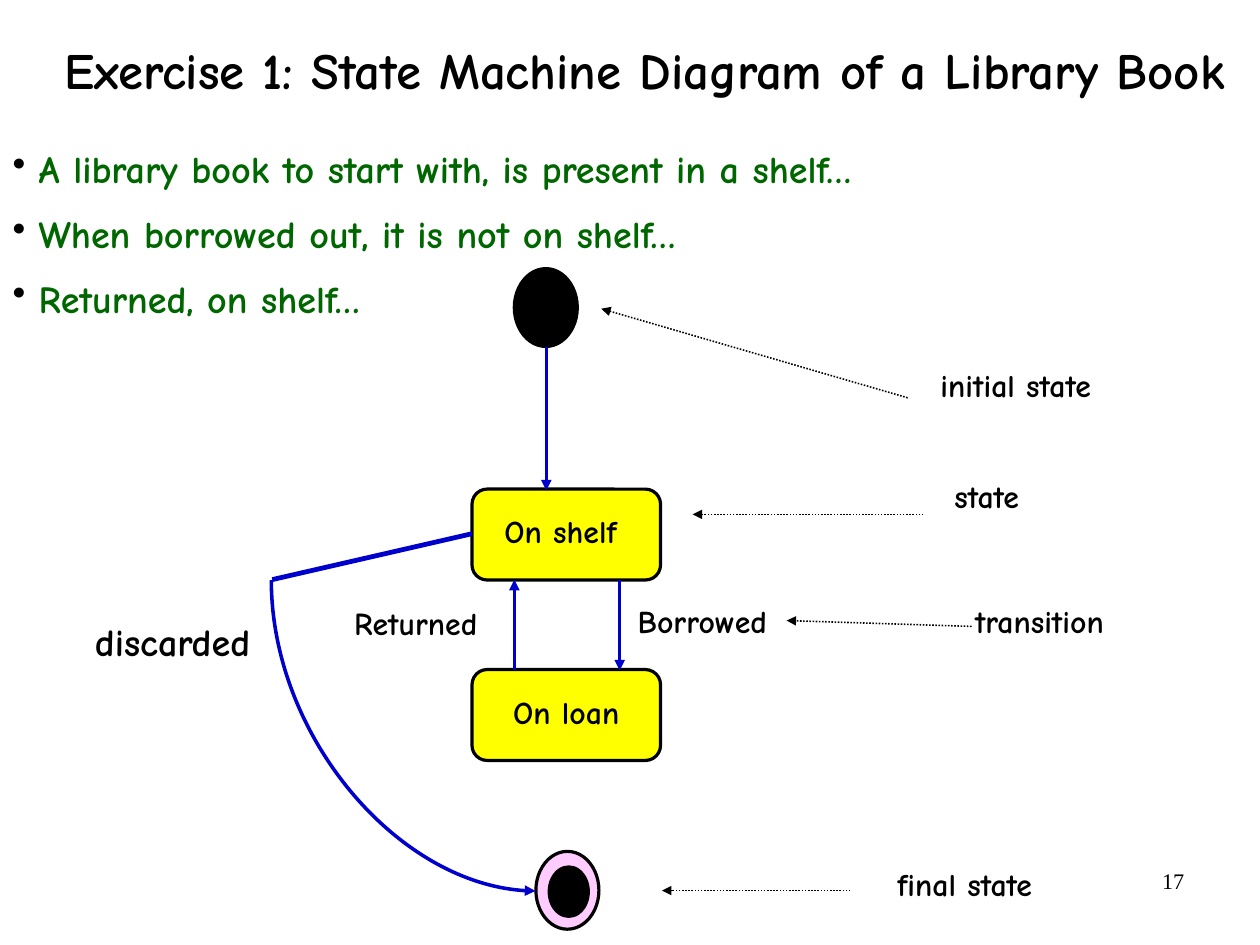
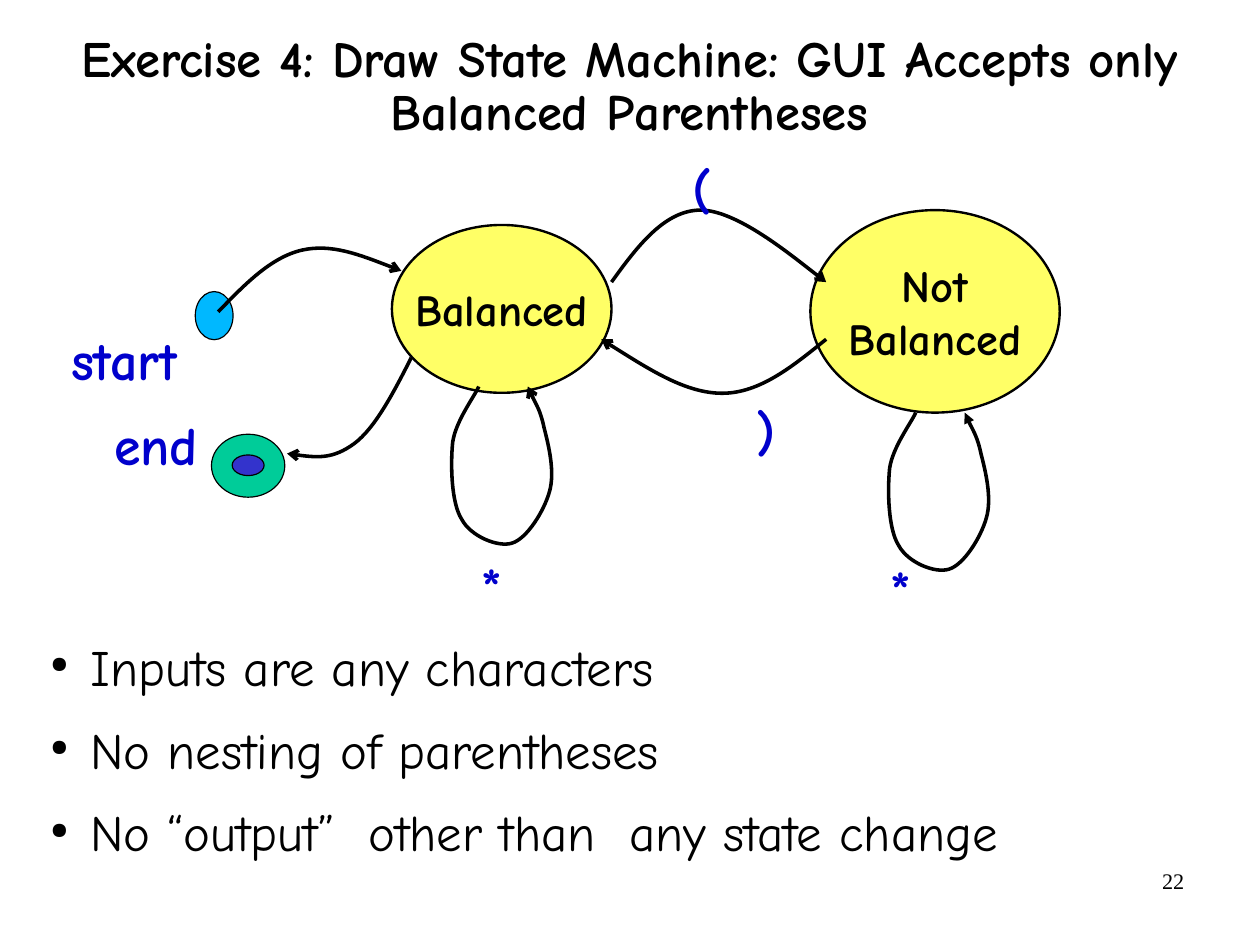
from lxml import etree
from pptx import Presentation, util as u
from pptx.dml import color
from pptx.enum import dml, shapes, text
from pptx.oxml import ns

FACE = "Comic Neue"
BLACK, WHITE, BLUE, GREEN = "000000", "FFFFFF", "0000CC", "006600"
YELLOW, LEMON, PINK = "FFFF00", "FFFF66", "FFCCFF"
SKY, TEAL, INDIGO = "00B8FF", "00CC99", "3333CC"
LEFT, MID, RIGHT = text.PP_ALIGN.LEFT, text.PP_ALIGN.CENTER, text.PP_ALIGN.RIGHT
TOP, MIDDLE, BOTTOM = text.MSO_ANCHOR.TOP, text.MSO_ANCHOR.MIDDLE, text.MSO_ANCHOR.BOTTOM
OVAL = shapes.MSO_SHAPE.OVAL
NODE = shapes.MSO_SHAPE.FLOWCHART_CONNECTOR
ROUND = shapes.MSO_SHAPE.ROUNDED_RECTANGLE
LINE, CURVE = shapes.MSO_CONNECTOR.STRAIGHT, shapes.MSO_CONNECTOR.CURVE
LOOP = [(0, 0), (-0.1, 0.23), (-0.51, 0.76), (-0.58, 1.24),
        (-0.63, 1.75), (-0.61, 2.59), (-0.38, 2.95),
        (-0.18, 3.33), (0.43, 3.58), (0.74, 3.48),
        (1.07, 3.38), (1.45, 2.77), (1.57, 2.34),
        (1.7, 1.9), (1.55, 1.3), (1.45, 0.91),
        (1.37, 0.53), (1.14, 0.15), (1.09, 0)]


def rgb(code):
    """Turn a hex string into a colour."""
    return color.RGBColor.from_string(code)


def put(item, vals):
    """Set each named value on an object."""
    for name, val in vals.items():
        setattr(item, name, val)


def child(node, tag, **vals):
    """Add an XML child with its values."""
    return etree.SubElement(node, ns.qn(tag), vals)


def paint(line, tone, width, dash=None, head=None):
    """Style a line and its arrowhead."""
    line.color.rgb = rgb(tone)
    line.width = u.Pt(width)
    if dash:
        line.dash_style = dash
    if head:
        child(line._get_or_add_ln(), "a:tailEnd", type=head)


def bullet(para, mark, indent, size=100):
    """Give a paragraph a hanging black bullet."""
    props = para._p.get_or_add_pPr()
    props.set("marL", str(u.Cm(indent[0])))
    props.set("indent", str(u.Cm(indent[1])))
    child(child(props, "a:buClr"), "a:srgbClr", val=BLACK)
    child(props, "a:buSzPct", val=str(size * 1000))
    child(props, "a:buChar", char=mark)


def write(shape, lines, size, tone=BLACK, bold=True, face=FACE, align=LEFT,
          anchor=TOP, wrap=True, lead=None, before=0, after=0, mark=None):
    """Fill a shape with formatted paragraphs."""
    frame = shape.text_frame
    put(frame, dict(word_wrap=wrap, auto_size=text.MSO_AUTO_SIZE.NONE,
                    vertical_anchor=anchor,
                    margin_left=u.Cm(0.28), margin_right=u.Cm(0.28),
                    margin_top=u.Cm(0.15), margin_bottom=u.Cm(0.15)))
    for i, words in enumerate(lines):
        para = frame.add_paragraph() if i else frame.paragraphs[0]
        if mark:
            bullet(para, *mark)
        put(para, dict(alignment=align, line_spacing=lead,
                       space_before=u.Pt(before if i else 0),
                       space_after=u.Pt(after)))
        run = para.add_run()
        run.text = words
        put(run.font, dict(name=face, size=u.Pt(size), bold=bold))
        run.font.color.rgb = rgb(tone)


class Pen:
    """Draws items in centimetres from a corner of a slide."""

    def __init__(self, slide, x=0, y=0):
        """Keep the slide and the corner."""
        self.tree, self.x, self.y = slide.shapes, x, y

    def spot(self, x, y):
        """Give the place of a point on the slide."""
        return u.Cm(self.x + x), u.Cm(self.y + y)

    def note(self, box, lines, size, **form):
        """Add a text box."""
        x, y, w, h = box
        area = self.tree.add_textbox(*self.spot(x, y), u.Cm(w), u.Cm(h))
        write(area, lines, size, **form)

    def shape(self, kind, box, fill, width=0):
        """Add a filled shape with a black outline."""
        x, y, w, h = box
        item = self.tree.add_shape(kind, *self.spot(x, y), u.Cm(w), u.Cm(h))
        item.shadow.inherit = False
        item.fill.solid()
        item.fill.fore_color.rgb = rgb(fill)
        if width:
            paint(item.line, BLACK, width)
        else:
            item.line.fill.background()
        return item

    def link(self, ends, kind=LINE, **form):
        """Add a connector between two points."""
        item = self.tree.add_connector(
            kind, *self.spot(*ends[:2]), *self.spot(*ends[2:]))
        paint(item.line, **form)
        child(item._element.spPr, "a:effectLst")
        return item

    def curve(self, points, head="arrow"):
        """Add a path of cubic curves with an arrowhead."""
        first, *rest = [self.spot(*point) for point in points]
        maker = self.tree.build_freeform(*first)
        maker.add_line_segments(rest, close=False)
        item = maker.convert_to_shape()
        item.shadow.inherit = False
        item.fill.background()
        paint(item.line, BLACK, 2.25, head=head)
        track = item._element.find(".//" + ns.qn("a:path"))
        steps = track.findall(ns.qn("a:lnTo"))
        for i in range(0, len(steps), 3):
            bend = child(track, "a:cubicBezTo")
            for step in steps[i:i + 3]:
                bend.append(step[0])
                track.remove(step)


def start(deck, title, box, number, **form):
    """Add a slide with its title and number."""
    slide = deck.slides.add_slide(deck.slide_layouts[5])
    slide.background.fill.solid()
    slide.background.fill.fore_color.rgb = rgb(WHITE)
    head = slide.shapes.title
    put(head, dict(zip(("left", "top", "width", "height"), map(u.Cm, box))))
    write(head, [title], 32, align=MID, **form)
    Pen(slide).note((20.07, 19.13, 6.53, 1.45), [number], 14, bold=False,
                    face="Times New Roman", align=RIGHT)
    return slide


def book(slide, x, y):
    """Draw the states of a library book."""
    pen = Pen(slide, x, y)
    pen.shape(NODE, (9.6, 0, 1.4, 1.73), BLACK, 2)
    pen.shape(NODE, (10.08, 12.95, 1.4, 1.73), PINK, 2)
    pen.shape(NODE, (10.34, 13.26, 0.94, 1.17), BLACK)
    for top, name in ((4.9, "On shelf "), (8.91, "On loan")):
        state = pen.shape(ROUND, (8.66, top, 4.19, 2.02), YELLOW, 2)
        write(state, [name], 20, align=MID, anchor=MIDDLE, lead=0.8)
    for ends in ((10.31, 1.75, 10.31, 4.93), (11.94, 6.91, 11.94, 8.93),
                 (9.6, 8.93, 9.6, 6.91)):
        pen.link(ends, tone=BLUE, width=2.25, head="triangle")
    for ends in ((18.34, 2.87, 11.53, 0.89), (18.69, 5.46, 13.56, 5.46),
                 (19.76, 7.95, 15.65, 7.82), (17.07, 13.82, 12.88, 13.82)):
        pen.link(ends, tone=BLACK, width=1, head="triangle",
                 dash=dml.MSO_LINE.ROUND_DOT)
    for left, top, name, size in (
            (18.79, 2.18, "initial state", 20), (19.1, 4.65, "state", 20),
            (19.56, 7.42, "transition", 20), (17.83, 13.26, "final state", 20),
            (12.06, 7.42, "Borrowed", 20), (5.76, 7.47, "Returned", 20),
            (0, 7.82, "discarded", 24)):
        pen.note((left, top, 4.6, 1), [name], size, lead=0.8)
    pen.link((8.66, 5.89, 4.22, 6.91), tone=BLUE, width=3)
    arc = pen.link((3.68, 7.44, 10.59, 13.31), CURVE, tone=BLUE, width=2.25,
                   head="triangle")
    props = arc._element.spPr
    props.find(ns.qn("a:prstGeom")).set("prst", "curvedConnector2")
    frame = props.find(ns.qn("a:xfrm"))
    frame.set("rot", "16200000")
    frame.set("flipH", "1")


def braces(slide, x, y):
    """Draw the states of the parenthesis check."""
    pen = Pen(slide, x, y)
    for box, lines in (((7.41, 1.7, 4.88, 3.73), ["Balanced"]),
                       ((16.71, 1.37, 5.54, 4.5), ["Not", "Balanced"])):
        state = pen.shape(OVAL, box, LEMON, 1.5)
        write(state, lines, 28, align=MID, anchor=MIDDLE, wrap=False)
    for box, fill in (((3.04, 3.18, 0.84, 1.07), SKY),
                      ((3.4, 6.35, 1.63, 1.4), TEAL),
                      ((3.86, 6.81, 0.71, 0.46), INDIGO)):
        pen.shape(OVAL, box, fill, 0.75)
    pen.curve([(3.55, 3.63), (4.14, 3.02), (4.72, 2.42), (5.41, 2.26),
               (6.07, 2.11), (6.85, 2.42), (7.62, 2.72)])
    pen.curve([(12.29, 2.97), (12.87, 2.16), (13.48, 1.37), (14.27, 1.37),
               (15.08, 1.37), (16.68, 2.69), (17.06, 2.97)])
    pen.curve([(17.06, 4.24), (16.33, 4.83), (15.59, 5.44), (14.75, 5.44),
               (13.94, 5.44), (13, 4.83), (12.06, 4.24)])
    pen.curve([(7.84, 4.65), (7.44, 5.44), (7.03, 6.22), (6.57, 6.56),
               (6.09, 6.91), (5.58, 6.86), (5.08, 6.78)])
    for left, top, head in ((9.34, 5.29, "arrow"), (19.05, 5.87, "triangle")):
        pen.curve([(left + dx, top + dy) for dx, dy in LOOP], head)
    for left, top, name in ((13.81, 0, "("), (15.24, 5.39, ")"),
                            (9.11, 8.82, "*"), (18.21, 8.89, "*"),
                            (0, 3.81, "start"), (0.96, 5.69, "end")):
        pen.note((left, top, 3.68, 1.73), [name], 34, tone=BLUE)


def main():
    """Build and save both slides."""
    deck = Presentation()
    put(deck, dict(slide_width=u.Cm(28), slide_height=u.Cm(21)))

    slide = start(deck, "Exercise 1: State Machine Diagram of a Library Book",
                  (0.9, -0.08, 26.87, 3.48), "17", anchor=MIDDLE, lead=0.8)
    book(slide, 1.83, 5.97)
    Pen(slide).note((0, 3.08, 28, 4.17),
                    ["A library book to start with, is present in a shelf…",
                     "When borrowed out, it is not on shelf…",
                     "Returned, on shelf…"],
                    24, tone=GREEN, before=6, after=6,
                    mark=("•", (0.58, -0.58)))

    slide = start(deck, "Exercise 4: Draw State Machine: GUI Accepts only "
                  "Balanced Parentheses",
                  (0, 2.03, 28, 1.27), "22", anchor=BOTTOM, lead=0.88)
    braces(slide, 1.3, 3.3)
    Pen(slide).note((0.56, 13.97, 26.87, 5.51),
                    ["Inputs are any characters",
                     "No nesting of parentheses",
                     "No “output”  other than  any state change"],
                    32, bold=False, after=13.8,
                    mark=("●", (1.17, -0.89), 45))
    deck.save("out.pptx")


if __name__ == "__main__":
    main()
